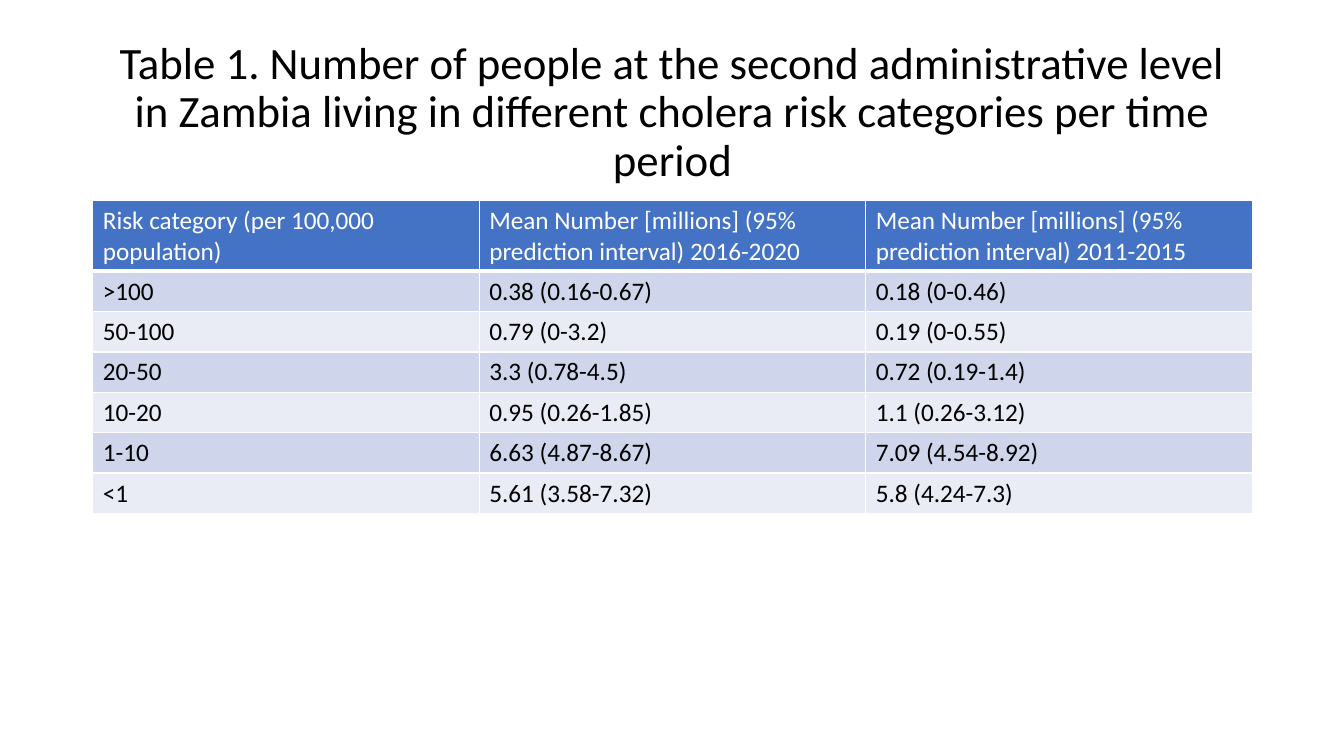
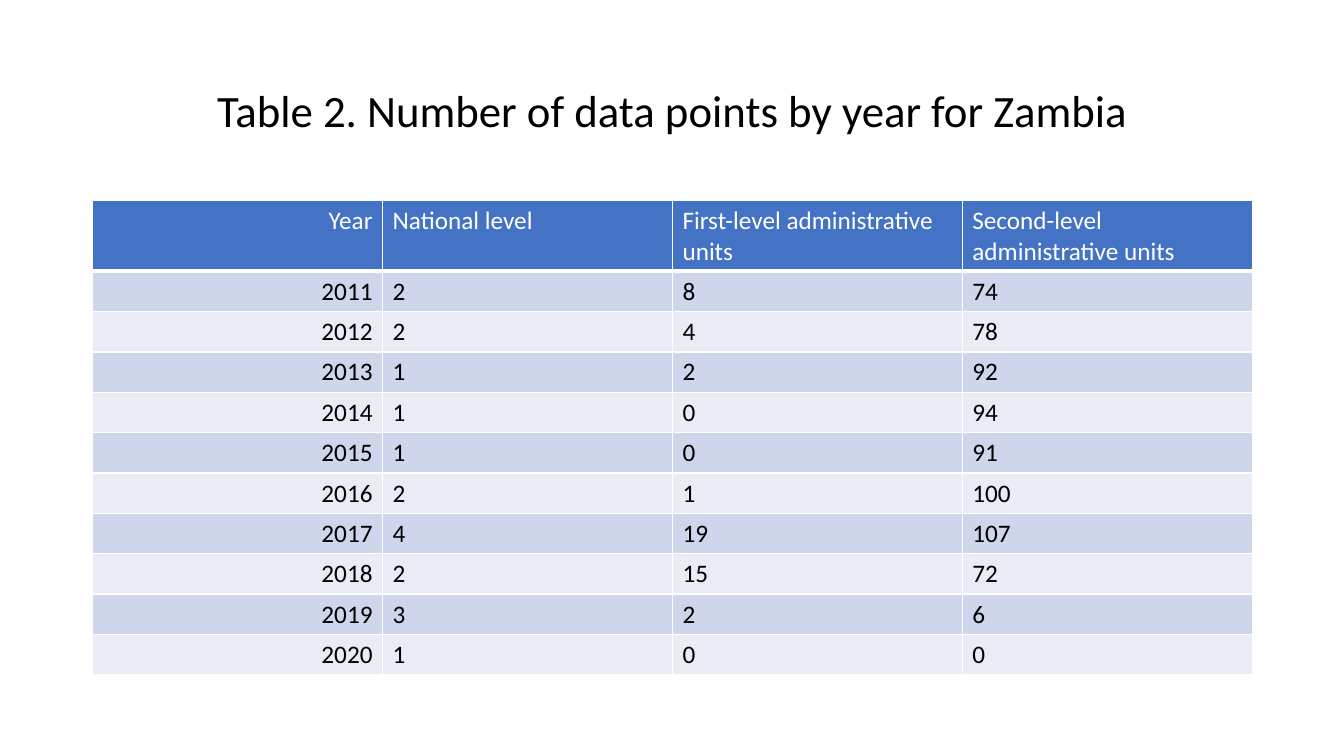
import pptx
import pptx.dml.color
import pptx.enum.text
import pptx.oxml
import pptx.oxml.ns
import pptx.util
from pptx.util import Inches

COLORS = {
    "title": "000000",
    "header": "4472C4",
    "header_text": "FFFFFF",
    "odd_row": "CFD5EA",
    "even_row": "E9EBF5",
    "body_text": "000000",
    "border": "FFFFFF",
}
ALIGN = pptx.enum.text.PP_ALIGN

RISK_ROWS = [
    ("Risk category (per 100,000 population)",
     "Mean Number [millions] (95% prediction interval) 2016-2020",
     "Mean Number [millions] (95% prediction interval) 2011-2015"),
    (">100", "0.38 (0.16-0.67)", "0.18 (0-0.46)"),
    ("50-100", "0.79 (0-3.2)", "0.19 (0-0.55)"),
    ("20-50", "3.3 (0.78-4.5)", "0.72 (0.19-1.4)"),
    ("10-20", "0.95 (0.26-1.85)", "1.1 (0.26-3.12)"),
    ("1-10", "6.63 (4.87-8.67)", "7.09 (4.54-8.92)"),
    ("<1", "5.61 (3.58-7.32)", "5.8 (4.24-7.3)"),
]
YEAR_ROWS = [
    ("Year", "National level", "First-level administrative units",
     "Second-level administrative units"),
    (2011, 2, 8, 74),
    (2012, 2, 4, 78),
    (2013, 1, 2, 92),
    (2014, 1, 0, 94),
    (2015, 1, 0, 91),
    (2016, 2, 1, 100),
    (2017, 4, 19, 107),
    (2018, 2, 15, 72),
    (2019, 3, 2, 6),
    (2020, 1, 0, 0),
]


class Deck:
    """Holds the shared style and the current slide."""

    font = "Calibri"
    title_size, cell_size = 32, 18
    left, width = 0.92, 11.5
    title_top, title_height = 0.4, 1.45
    table_top, header_height, row_height = 1.99, 0.7, 0.4

    def __init__(self):
        self.presentation = pptx.Presentation()
        self.presentation.slide_width = Inches(13.33)
        self.presentation.slide_height = Inches(7.5)
        self.slide = None

    def add_slide(self, title):
        blank = self.presentation.slide_layouts[6]
        self.slide = self.presentation.slides.add_slide(blank)
        self.add_title(title)

    def set_text(self, paragraph, text, size, color, align):
        paragraph.text = text
        paragraph.alignment = align
        paragraph.font.name = self.font
        paragraph.font.size = pptx.util.Pt(size)
        paragraph.font.bold = False
        paragraph.font.color.rgb = pptx.dml.color.RGBColor.from_string(COLORS[color])

    def add_title(self, text):
        title = self.slide.shapes.add_textbox(
            Inches(self.left), Inches(self.title_top),
            Inches(self.width), Inches(self.title_height)).text_frame
        title.word_wrap = True
        title.vertical_anchor = pptx.enum.text.MSO_ANCHOR.MIDDLE
        heading = title.paragraphs[0]
        self.set_text(heading, text, self.title_size, "title", ALIGN.CENTER)
        heading.line_spacing = 0.9

    def add_table(self, rows, first_align=ALIGN.LEFT):
        """Add a banded table; the first row is the header."""
        column_count = len(rows[0])
        height = self.header_height + self.row_height * (len(rows) - 1)
        table = self.slide.shapes.add_table(
            len(rows), column_count, Inches(self.left), Inches(self.table_top),
            Inches(self.width), Inches(height)).table
        for column in table.columns:
            column.width = Inches(self.width / column_count)
        for r, values in enumerate(rows):
            is_header = r == 0
            table.rows[r].height = Inches(self.header_height if is_header else self.row_height)
            fill = "header" if is_header else ("even_row", "odd_row")[r % 2]
            for c, value in enumerate(values):
                cell = table.cell(r, c)
                self.border(cell, bottom=3 if is_header else 1)
                cell.fill.solid()
                cell.fill.fore_color.rgb = pptx.dml.color.RGBColor.from_string(COLORS[fill])
                self.set_text(cell.text_frame.paragraphs[0], str(value), self.cell_size,
                              "header_text" if is_header else "body_text",
                              first_align if c == 0 else ALIGN.LEFT)

    def border(self, cell, bottom):
        """Draw 1 pt cell borders, with the bottom one at the given points."""
        properties = cell._tc.get_or_add_tcPr()
        for side, points in (("L", 1), ("R", 1), ("T", 1), ("B", bottom)):
            properties.append(pptx.oxml.parse_xml(
                f'<a:ln{side} {pptx.oxml.ns.nsdecls("a")} w="{pptx.util.Pt(points)}">'
                f'<a:solidFill><a:srgbClr val="{COLORS["border"]}"/></a:solidFill>'
                f'</a:ln{side}>'))


def main():
    deck = Deck()
    deck.add_slide("Table 1. Number of people at the second administrative level in Zambia "
                   "living in different cholera risk categories per time period")
    deck.add_table(RISK_ROWS)
    deck.add_slide("Table 2. Number of data points by year for Zambia")
    deck.add_table(YEAR_ROWS, first_align=ALIGN.RIGHT)
    deck.presentation.save("out.pptx")


if __name__ == "__main__":
    main()
